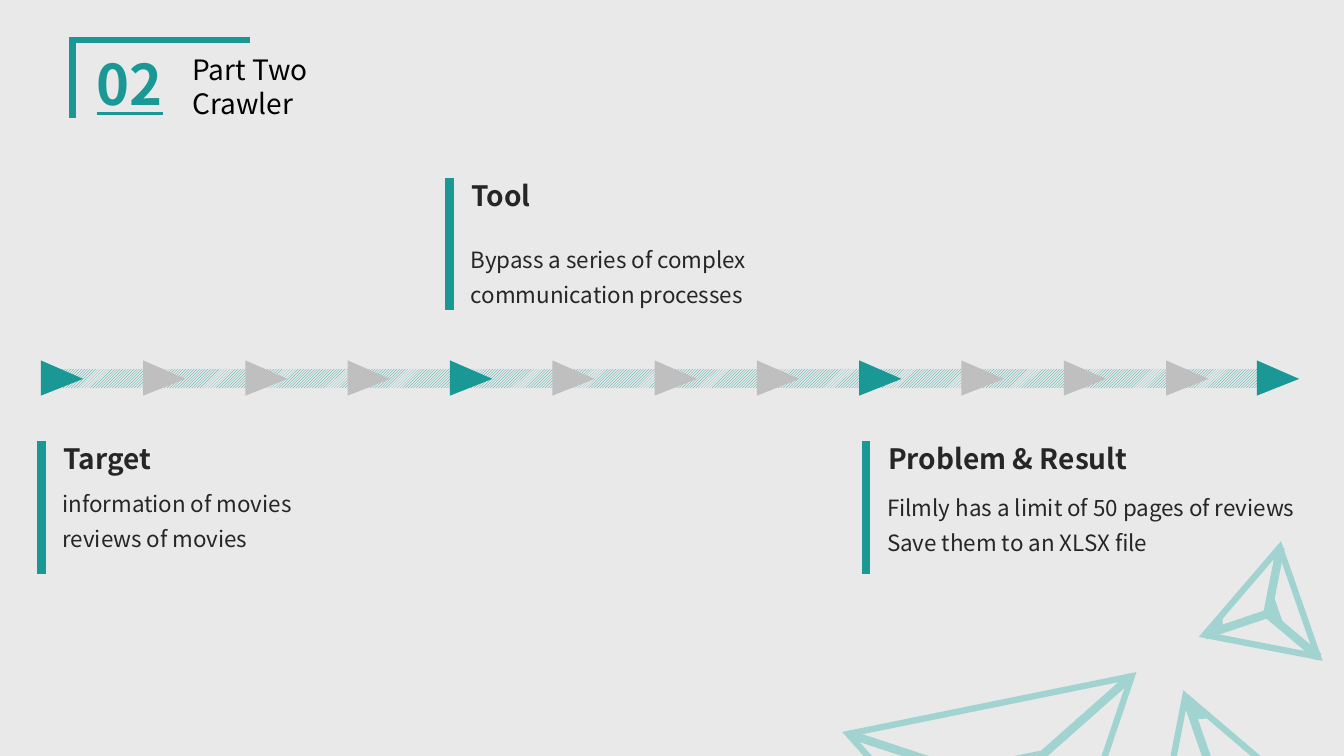
from lxml import etree
from pptx import Presentation
from pptx.dml.color import RGBColor
from pptx.enum.dml import MSO_PATTERN
from pptx.enum.shapes import MSO_CONNECTOR, MSO_SHAPE
from pptx.enum.text import MSO_ANCHOR, MSO_AUTO_SIZE, PP_ALIGN
from pptx.oxml.ns import qn
from pptx.util import Inches, Pt

TEAL = RGBColor(0x1A, 0x98, 0x95)
PALE_TEAL = RGBColor(0xA1, 0xD3, 0xD0)
GRAY = RGBColor(0xBF, 0xBF, 0xBF)
PAPER = RGBColor(0xE9, 0xE9, 0xE9)
INK = RGBColor(0x26, 0x26, 0x26)
BLACK = RGBColor(0, 0, 0)
FONT = "Noto Sans CJK SC"

TRIANGLE = MSO_SHAPE.ISOSCELES_TRIANGLE
RECTANGLE = MSO_SHAPE.RECTANGLE
STRAIGHT = MSO_CONNECTOR.STRAIGHT
HATCH = MSO_PATTERN.LIGHT_UPWARD_DIAGONAL
GROW = MSO_AUTO_SIZE.SHAPE_TO_FIT_TEXT
TOP = MSO_ANCHOR.TOP
LEFT = PP_ALIGN.LEFT


def style(shape, fill=None, line=None, width=1):
    """Set fill and mitred outline; None means no paint."""
    shape.shadow.inherit = False
    if fill is None:
        shape.fill.background()
    else:
        shape.fill.solid()
        shape.fill.fore_color.rgb = fill
    if line is None:
        shape.line.fill.background()
    else:
        shape.line.color.rgb = line
        shape.line.width = Pt(width)
        outline = shape.line._get_or_add_ln()
        etree.SubElement(outline, qn("a:miter"), lim="800000")


def add_triangle(shapes, box, rotation, **paint):
    triangle = shapes.add_shape(TRIANGLE, *map(Inches, box))
    triangle.rotation = rotation
    style(triangle, **paint)
    return triangle


def add_outline(shapes, points, close=True, **paint):
    start, *others = [(Inches(x), Inches(y)) for x, y in points]
    builder = shapes.build_freeform(*start)
    builder.add_line_segments(others, close=close)
    style(builder.convert_to_shape(), **paint)


def add_line(shapes, start, end, color):
    line = shapes.add_connector(STRAIGHT, *map(Inches, (*start, *end)))
    line.line.color.rgb = color
    line.line.width = Pt(6)
    etree.SubElement(line._element.spPr, qn("a:effectLst"))


def write(box, lines, size, color, bold=False, underline=False, spacing=None):
    frame = box.text_frame
    frame.word_wrap = True
    frame.auto_size = GROW
    frame.vertical_anchor = TOP
    for index, text in enumerate(lines):
        para = frame.add_paragraph() if index else frame.paragraphs[0]
        para.alignment = LEFT
        if spacing:
            para.line_spacing = spacing
        span = para.add_run()
        span.text = text
        span.font.name = FONT
        span.font.size = Pt(size)
        span.font.color.rgb = color
        span.font.bold = bold
        span.font.underline = underline


def add_text(page, box, lines, **text_format):
    write(page.shapes.add_textbox(*map(Inches, box)), lines, **text_format)


def add_pyramid(page, face, rotation, hub, corners, chip=None, cap=None):
    """Draw a wire pyramid: its face, the edges to the hub, and small filled joints."""
    shapes = page.shapes.add_group_shape().shapes
    add_triangle(shapes, face, rotation, fill=PAPER, line=PALE_TEAL, width=4.5)
    for corner in corners:
        add_line(shapes, corner, hub, PALE_TEAL)
    if cap:
        add_triangle(shapes, cap, rotation, fill=PALE_TEAL, line=PALE_TEAL)
    if chip:
        add_outline(shapes, chip, fill=PALE_TEAL, line=PALE_TEAL)


def add_decoration(page):
    add_pyramid(page, (11.23, 6.87, 1.47, 1.26), 340.7, (12.03, 7.69), [(11.76, 6.91)],
                chip=[(11.86, 7.13), (11.98, 7.12), (11.81, 6.98)])
    add_pyramid(page, (8.63, 6.97, 2.87, 2.47), 168.5, (9.99, 7.8),
                [(11.22, 6.71), (8.41, 7.28)], cap=(9.58, 7.53, 0.75, 0.23))
    add_pyramid(page, (11.84, 5.64, 1.15, 0.99), 250.8, (12.57, 6.09),
                [(11.95, 6.3), (13.08, 6.52), (12.7, 5.43)],
                chip=[(12.12, 6.22), (12.12, 6.13), (12.01, 6.26)],
                cap=(12.48, 6.02, 0.3, 0.09))


def add_header(page, left, top):
    bracket = [(left, top + 0.77), (left, top), (left + 1.76, top)]
    add_outline(page.shapes, bracket, close=False, line=TEAL, width=4.5)
    add_text(page, (left + 0.14, top + 0.04, 0.95, 0.77), ["02"],
             size=40, color=TEAL, bold=True, underline=True)
    title = page.shapes.title
    title.left, title.top = Inches(left + 1.09), Inches(top + 0.07)
    title.width, title.height = Inches(2.4), Inches(0.77)
    write(title, ["Part Two", "Crawler"], size=20, color=BLACK)


def add_timeline(page, left, top):
    band = page.shapes.add_shape(RECTANGLE, *map(Inches, (left, top + 0.12, 12.23, 0.19)))
    style(band)
    band.fill.patterned()
    band.fill.pattern = HATCH
    band.fill.fore_color.rgb = TEAL
    band.fill.back_color.rgb = PAPER

    first, last, count = left + 0.03, left + 11.19, 12
    step = (last - first) / (count - 1)
    arrows = [(first + step * index, GRAY if index % 4 else TEAL) for index in range(count)]
    arrows.append((left + 12.09, TEAL))
    for x, color in arrows:
        arrow = add_triangle(page.shapes, (x, top, 0.35, 0.42), 90, fill=color)
        arrow.adjustments[0] = 0.525


def add_milestone(page, left, top, heading, lines, gap, width):
    add_line(page.shapes, (left, top), (left, top + 1.31), TEAL)
    add_text(page, (left + 0.12, top - 0.05, 2.63, 0.44), [heading],
             size=20, color=INK, bold=True)
    add_text(page, (left + 0.11, top + gap, width, 0.77), lines,
             size=16, color=INK, spacing=1.3)


def main():
    deck = Presentation()
    deck.slide_width, deck.slide_height = Inches(13.33), Inches(7.5)
    page = deck.slides.add_slide(deck.slide_layouts[5])
    page.background.fill.solid()
    page.background.fill.fore_color.rgb = PAPER

    add_decoration(page)
    add_header(page, 0.72, 0.4)
    add_timeline(page, 0.41, 3.54)
    add_milestone(page, 0.41, 4.38, "Target",
                  ["information of movies reviews of movies"], 0.35, 3.21)
    add_milestone(page, 4.46, 1.77, "Tool",
                  ["Bypass a series of complex communication processes"], 0.54, 3.58)
    add_milestone(page, 8.59, 4.38, "Problem & Result",
                  ["Filmly has a limit of 50 pages of reviews", "Save them to an XLSX file"],
                  0.39, 4.88)
    deck.save("out.pptx")


if __name__ == "__main__":
    main()
